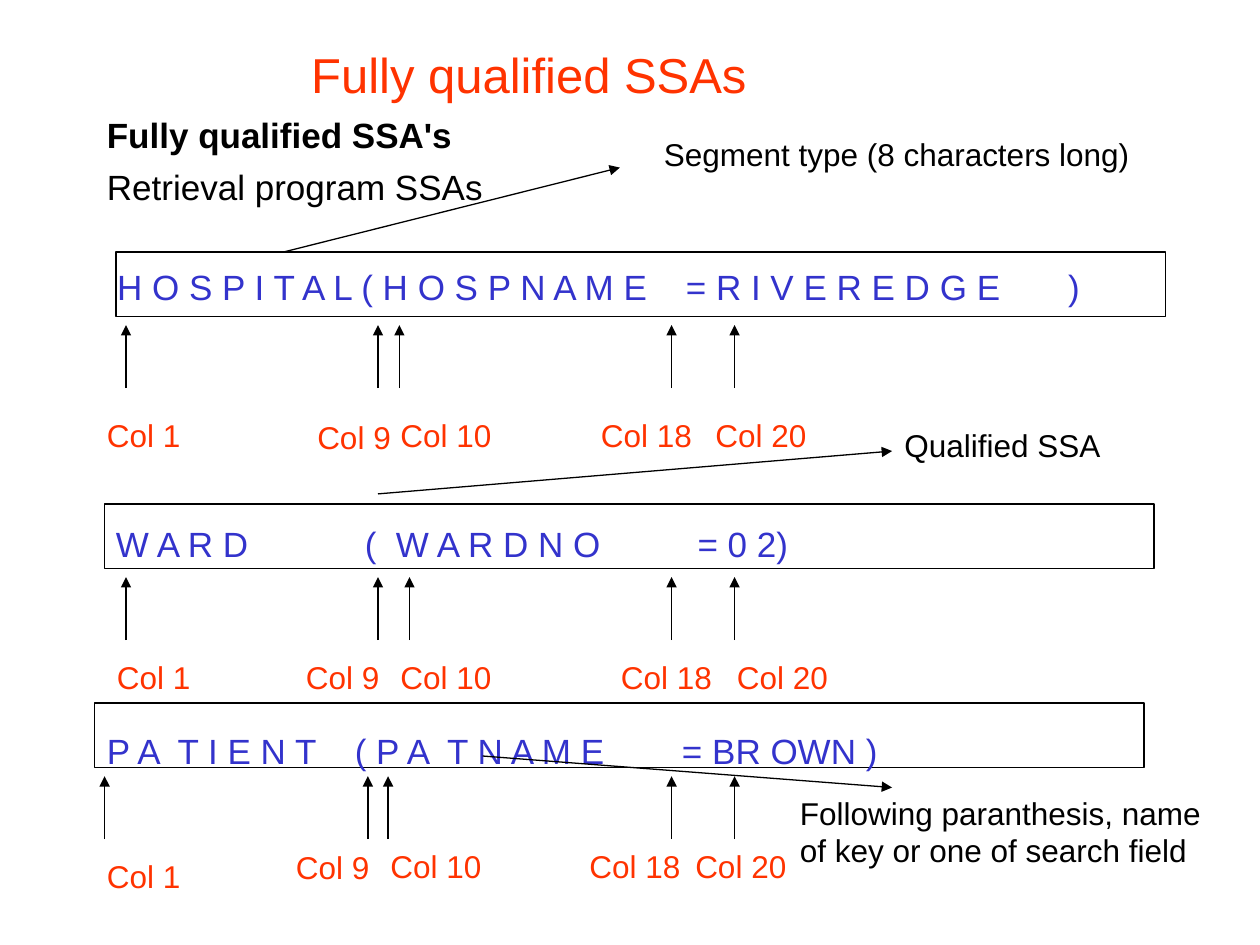
import pptx
import pptx.dml.color
import pptx.enum.shapes
import pptx.enum.text
import pptx.oxml
import pptx.oxml.ns
import pptx.util

Inches = pptx.util.Inches
Pt = pptx.util.Pt
Anchor = pptx.enum.text.MSO_ANCHOR
Align = pptx.enum.text.PP_ALIGN

BLACK = pptx.dml.color.RGBColor(0x00, 0x00, 0x00)
ORANGE = pptx.dml.color.RGBColor(0xFF, 0x33, 0x00)
BLUE = pptx.dml.color.RGBColor(0x33, 0x33, 0xCC)

COLUMNS = ("Col 1", "Col 9", "Col 10", "Col 18", "Col 20")
LABEL_WIDTHS = (0.83, 0.83, 1.08, 1.08, 1.17)

# Each SSA: text, box left and top, text indent and drop inside the box,
# arrow positions, and (left, top) of the column labels.
SSAS = (
    ("H O S P I T A L ( H O S P N A M E    = R I V E R E D G E       )",
     0.92, 2.0, 0.01, 0.02, (1, 3, 3.17, 5.33, 5.83),
     ((0.75, 3.25), (2.42, 3.27), (3.08, 3.25), (4.67, 3.25), (5.58, 3.25))),
    ("W A R D            (  W A R D N O          = 0 2)",
     0.83, 4.0, 0.09, 0.06, (1, 3, 3.25, 5.33, 5.83),
     ((0.83, 5.17), (2.33, 5.17), (3.08, 5.17), (4.83, 5.17), (5.75, 5.17))),
    ("P A  T I E N T    ( P A  T N A M E        = BR OWN )",
     0.75, 5.58, 0.1, 0.12, (0.83, 2.92, 3.08, 5.33, 5.83),
     ((0.75, 6.75), (2.25, 6.68), (3, 6.67), (4.58, 6.67), (5.42, 6.67))),
)

# Each callout: text, text position, arrow start and end.
CALLOUTS = (
    ("Segment type (8 characters long)", (5.17, 1.02, 4.42, 0.4),
     (2.25, 2), (4.92, 1.33)),
    ("Qualified SSA", (7.08, 3.33, 2.25, 0.4), (3, 3.92), (7.08, 3.58)),
    ("Following paranthesis, name of key or one of search field",
     (6.25, 6.25, 3.5, 0.7), (3.83, 6), (7.08, 6.25)),
)


class SsaSlide:
    font = "Arial"
    line_width = Pt(0.75)
    box_size = (8.33, 0.51)

    def __init__(self, slide):
        self.slide = slide

    def format(self, paragraph, size, color, bold=False):
        paragraph.alignment = Align.LEFT
        for run in paragraph.runs:
            run.font.name = self.font
            run.font.size = Pt(size)
            run.font.bold = bold
            run.font.color.rgb = color

    def title(self, text, position, indent):
        heading = self.slide.shapes.title
        heading.left, heading.top, heading.width, heading.height = map(
            Inches, position)
        frame = heading.text_frame
        frame.text = text
        frame.margin_left = Inches(indent)
        frame.vertical_anchor = Anchor.MIDDLE
        self.format(frame.paragraphs[0], 28, ORANGE)

    def text(self, text, position, size=18, color=BLACK):
        frame = self.slide.shapes.add_textbox(
            *map(Inches, position)).text_frame
        frame.word_wrap = True
        frame.text = text
        for paragraph in frame.paragraphs:
            self.format(paragraph, size, color)
        return frame

    def arrow(self, start, end):
        connector = self.slide.shapes.add_connector(
            pptx.enum.shapes.MSO_CONNECTOR.STRAIGHT,
            *map(Inches, start + end))
        connector.line.color.rgb = BLACK
        connector.line.width = self.line_width
        head = pptx.oxml.ns.qn("a:tailEnd")
        outline = connector.line._get_or_add_ln()
        outline.append(outline.makeelement(head, {"type": "triangle"}))
        properties = connector._element.spPr
        properties.append(
            properties.makeelement(pptx.oxml.ns.qn("a:effectLst"), {}))

    def ssa_box(self, text, left, top, indent, drop):
        """Draw an outlined box; drop lowers its text below the middle."""
        box = self.slide.shapes.add_shape(
            pptx.enum.shapes.MSO_SHAPE.RECTANGLE,
            *map(Inches, (left, top) + self.box_size))
        box.shadow.inherit = False
        box.fill.background()
        box.line.color.rgb = BLACK
        box.line.width = self.line_width
        frame = box.text_frame
        frame.word_wrap = True
        frame.vertical_anchor = Anchor.MIDDLE
        frame.margin_left = Inches(indent)
        frame.margin_top = Inches(2 * drop)
        frame.margin_right = frame.margin_bottom = 0
        frame.text = text
        self.format(frame.paragraphs[0], 20, BLUE)

    def column_marks(self, box_top, arrow_lefts, label_places):
        for name, width, x, place in zip(
                COLUMNS, LABEL_WIDTHS, arrow_lefts, label_places):
            self.arrow((x, box_top + 1.08), (x, box_top + 0.58))
            self.text(name, place + (width, 0.4), color=ORANGE)


def main():
    presentation = pptx.Presentation()
    presentation.slide_width = Inches(10)
    presentation.slide_height = Inches(7.5)
    page = SsaSlide(
        presentation.slides.add_slide(presentation.slide_layouts[5]))

    page.title("Fully qualified SSAs", (0.75, 0.25, 8.5, 0.67), 1.72)
    intro = page.text("Fully qualified SSA's\nRetrieval program SSAs",
                      (0.75, 0.85, 4, 0.85), size=20)
    heading, subheading = intro.paragraphs
    page.format(heading, 20, BLACK, bold=True)
    subheading.space_before = Pt(6)

    for text, left, top, indent, drop, arrow_lefts, label_places in SSAS:
        page.ssa_box(text, left, top, indent, drop)
        page.column_marks(top, arrow_lefts, label_places)

    for text, position, start, end in CALLOUTS:
        page.text(text, position)
        page.arrow(start, end)

    presentation.save("out.pptx")


if __name__ == "__main__":
    main()
